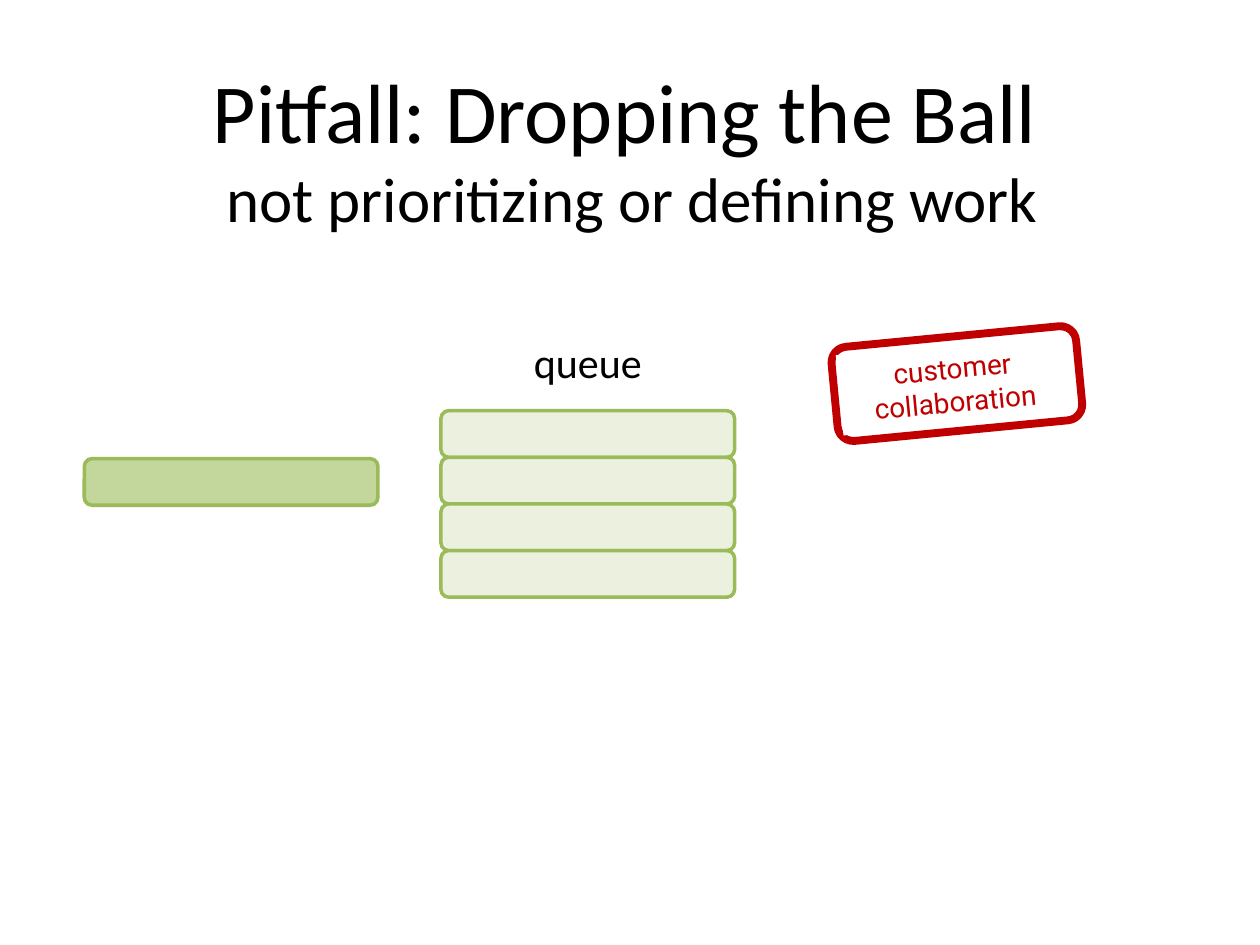
import pptx
import pptx.util
import pptx.dml.color
import pptx.enum.shapes
import pptx.enum.text

Pt = pptx.util.Pt
RGBColor = pptx.dml.color.RGBColor
MSO_SHAPE = pptx.enum.shapes.MSO_SHAPE
MSO_ANCHOR = pptx.enum.text.MSO_ANCHOR

BLACK = RGBColor(0x00, 0x00, 0x00)
WHITE = RGBColor(0xFF, 0xFF, 0xFF)
RED = RGBColor(0xC0, 0x00, 0x00)
GREEN = RGBColor(0x9B, 0xBB, 0x59)
LIGHT_GREEN = RGBColor(0xEB, 0xF1, 0xDE)
MID_GREEN = RGBColor(0xC3, 0xD6, 0x9B)

QUEUE_LEFT, QUEUE_TOP = 252, 234.7
ITEM_WIDTH, ITEM_HEIGHT = 167.8, 26.65
STAMP_ANGLE = 354.5


def add_box(shapes, kind, left, top, width, height, fill, line=None, weight=0):
    sp = shapes.add_shape(kind, Pt(left), Pt(top), Pt(width), Pt(height))
    sp.shadow.inherit = False
    sp.fill.solid()
    sp.fill.fore_color.rgb = fill
    if line is None:
        sp.line.fill.background()
    else:
        sp.line.color.rgb = line
        sp.line.width = Pt(weight)
    return sp


def set_text(sp, lines, font, color, anchor):
    tf = sp.text_frame
    tf.word_wrap = True
    tf.auto_size = pptx.enum.text.MSO_AUTO_SIZE.NONE
    tf.vertical_anchor = anchor
    tf.text = "\n".join(text for text, size in lines)
    for p, (text, size) in zip(tf.paragraphs, lines):
        p.alignment = pptx.enum.text.PP_ALIGN.CENTER
        r = p.runs[0]
        r.font.name = font
        r.font.size = Pt(size)
        r.font.color.rgb = color


prs = pptx.Presentation()
prs.slide_width = Pt(720)
prs.slide_height = Pt(540)
s = prs.slides.add_slide(prs.slide_layouts[5])

title = s.shapes.title
title.left, title.top, title.width, title.height = Pt(36), Pt(30.2), Pt(642.2), Pt(108.7)
set_text(title, [("Pitfall: Dropping the Ball", 48), (" not prioritizing or defining work", 36)],
         "Calibri", BLACK, MSO_ANCHOR.TOP)

stamp = s.shapes.add_group_shape()
frame = add_box(stamp.shapes, MSO_SHAPE.ROUNDED_RECTANGLE, 476.6, 192.2, 140.4, 54, WHITE, RED, 4.5)
label = add_box(stamp.shapes, MSO_SHAPE.RECTANGLE, 479.5, 196.6, 131, 46.1, WHITE)
frame.rotation = label.rotation = STAMP_ANGLE
set_text(label, [("customer collaboration", 16)], "Roboto", RED, MSO_ANCHOR.MIDDLE)

for i in range(4):
    add_box(s.shapes, MSO_SHAPE.ROUNDED_RECTANGLE, QUEUE_LEFT, QUEUE_TOP + i * ITEM_HEIGHT,
            ITEM_WIDTH, ITEM_HEIGHT, LIGHT_GREEN, GREEN, 2)

add_box(s.shapes, MSO_SHAPE.ROUNDED_RECTANGLE, 48.2, 262.1, ITEM_WIDTH, ITEM_HEIGHT, MID_GREEN, GREEN, 2)

queue = s.shapes.add_textbox(Pt(QUEUE_LEFT), Pt(188.6), Pt(ITEM_WIDTH), Pt(36))
set_text(queue, [("queue", 24)], "Calibri", BLACK, MSO_ANCHOR.MIDDLE)

prs.save("out.pptx")
